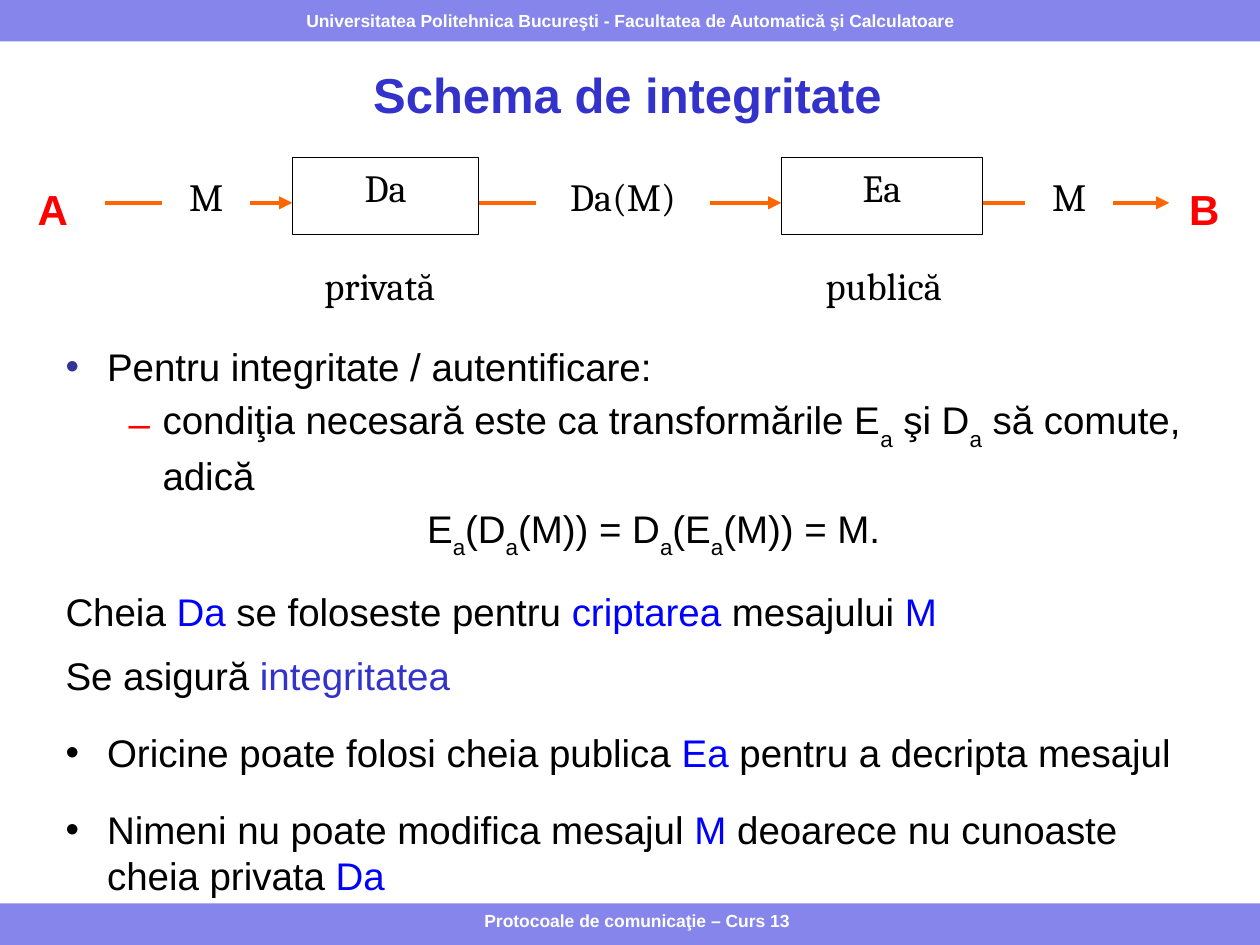
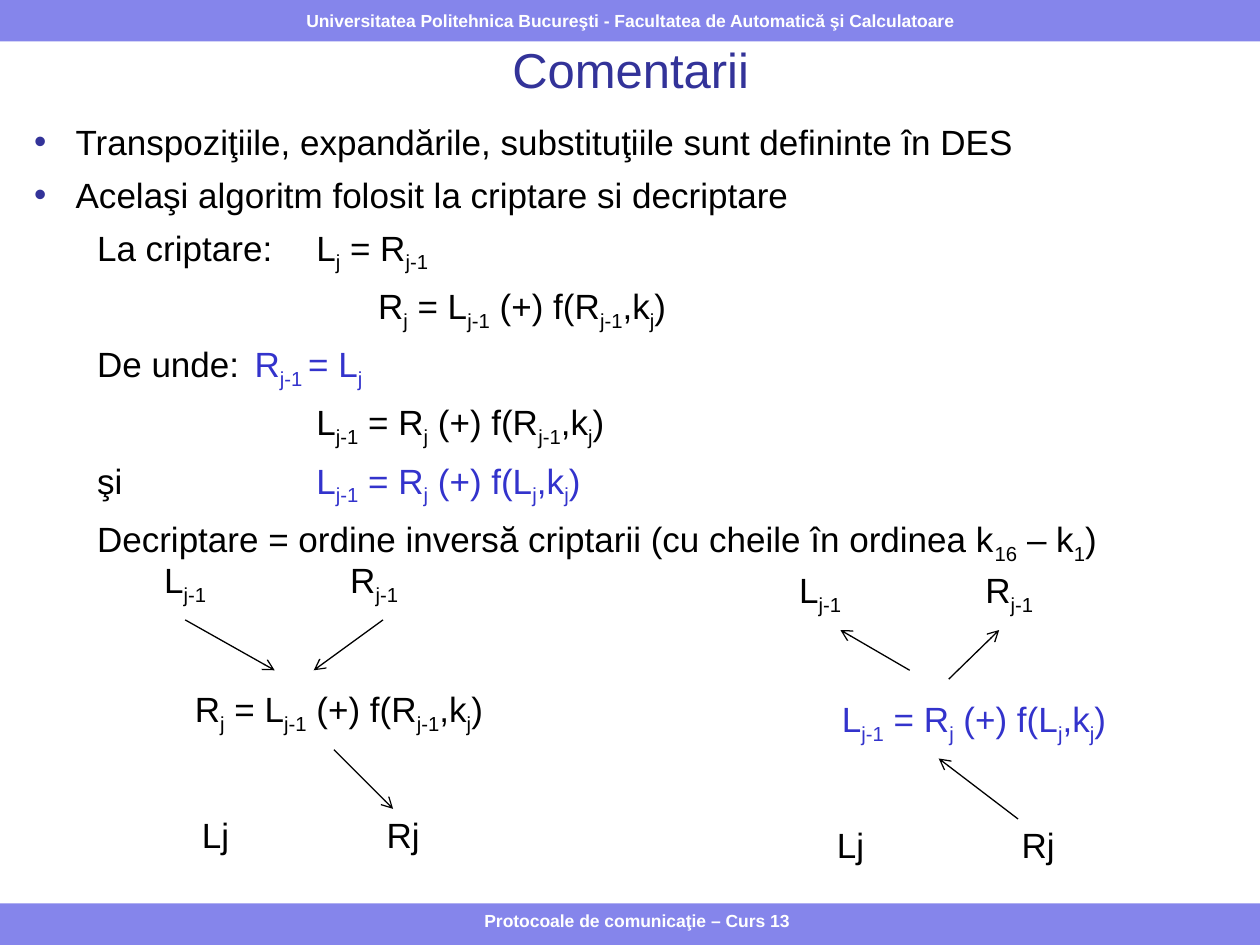
"""Builds two lecture slides: the integrity scheme and comments on DES."""
from lxml import etree
from pptx import Presentation
from pptx.dml.color import RGBColor
from pptx.enum.shapes import MSO_CONNECTOR as CONN, MSO_SHAPE as SHAPE
from pptx.enum.text import MSO_ANCHOR as ANCHOR, MSO_AUTO_SIZE as FIT, PP_ALIGN as ALIGN
from pptx.oxml.ns import qn
from pptx.util import Inches, Pt

BAND = RGBColor(0x85, 0x85, 0xEB)
INDIGO = RGBColor(0x33, 0x33, 0x99)
VIOLET = RGBColor(0x33, 0x33, 0xCC)
BLUE = RGBColor(0x00, 0x00, 0xFF)
RED = RGBColor(0xFF, 0x00, 0x00)
ORANGE = RGBColor(0xFF, 0x66, 0x00)
BLACK = RGBColor(0x00, 0x00, 0x00)
WHITE = RGBColor(0xFF, 0xFF, 0xFF)


def write(p, segments, size, font="Arial", bold=False, sub=-25000):
    """Add (text, colour) segments as runs; text between tildes is subscript."""
    for text, color in segments:
        for i, part in enumerate(text.split("~")):
            if not part:
                continue
            r = p.add_run()
            r.text = part
            r.font.size, r.font.name, r.font.bold = Pt(size), font, bold
            r.font.color.rgb = color
            if i % 2:
                r.font._element.set("baseline", str(sub))


def add_arrow(s, start, end, color, width, head):
    """Draw a straight arrow between two points given in inches."""
    line = s.shapes.add_connector(CONN.STRAIGHT, *map(Inches, start + end))
    line.line.color.rgb, line.line.width = color, Pt(width)
    etree.SubElement(line.line._get_or_add_ln(), qn("a:tailEnd"), type=head)
    etree.SubElement(line._element.spPr, qn("a:effectLst"))


prs = Presentation()
prs.slide_width, prs.slide_height = Inches(10), Inches(7.5)

TOP, SUB = (0.33, -0.33), (0.77, -0.27)
DOT, DOT_BLACK, DASH = ("•", INDIGO), ("•", BLACK), ("–", RED)
LEFT, CENTER = ALIGN.LEFT, ALIGN.CENTER

integrity_rows = [
    (0, TOP, 0, 4, DOT, LEFT, [("Pentru integritate / autentificare:", BLACK)]),
    (1, SUB, 0, 4, DASH, LEFT,
     [("condiţia necesară este ca transformările E~a~ şi D~a~ să comute, adică", BLACK)]),
    (1, SUB, 0, 4, None, CENTER, [("E~a~(D~a~(M)) = D~a~(E~a~(M)) = M. ", BLACK)]),
    (0, TOP, 12, 4, None, LEFT,
     [("Cheia ", BLACK), ("Da", BLUE), (" se foloseste pentru ", BLACK),
      ("criptarea ", BLUE), ("mesajului ", BLACK), ("M", BLUE)]),
    (0, TOP, 5.8, 12, None, LEFT, [("Se asigură ", BLACK), ("integritatea", VIOLET)]),
    (0, TOP, 5.8, 12, DOT_BLACK, LEFT,
     [("Oricine poate folosi cheia publica ", BLACK), ("Ea", BLUE),
      (" pentru a decripta mesajul", BLACK)]),
    (0, TOP, 5.8, 12, DOT_BLACK, LEFT,
     [("Nimeni nu poate modifica mesajul ", BLACK), ("M", BLUE),
      (" deoarece nu cunoaste cheia privata ", BLACK), ("Da", BLUE)]),
]

R_FORMULA = "R~j~ = L~j-1~ (+) f(R~j-1~,k~j~)"
L_FORMULA = "L~j-1~ = R~j~ (+) f(L~j~,k~j~)"
comment_rows = [
    (level, indent, 0, 6, DOT if level == 0 else None, LEFT, segments)
    for level, indent, segments in [
        (0, TOP, [("Transpoziţiile, expandările, substituţiile sunt defininte în DES", BLACK)]),
        (0, TOP, [("Acelaşi algoritm folosit la criptare si decriptare", BLACK)]),
        (1, (2.24, -1.74), [("La criptare: \tL~j~ = R~j-1~", BLACK)]),
        (1, (2.73, 0), [(R_FORMULA, BLACK)]),
        (1, (1.75, -1.25), [("De unde:\t", BLACK), ("R~j-1 ~= L~j~", VIOLET)]),
        (1, (2.24, 0), [("L~j-1~ = R~j~ (+) f(R~j-1~,k~j~)", BLACK)]),
        (1, (2.24, -1.74), [("şi\t", BLACK), (L_FORMULA, VIOLET)]),
        (1, SUB, [("Decriptare = ordine inversă criptarii (cu cheile în ordinea k~16~ – k~1~)",
                   BLACK)]),
    ]
]

pages = [
    ("Schema de integritate", VIOLET, True, (0.42, 0.45, 9.12, 0.59),
     (0.42, 2.67, 9.12, 4.42), 22, -33000, integrity_rows),
    ("Comentarii", INDIGO, False, (0.17, 0.17, 9.67, 0.75),
     (0.17, 0.91, 9.67, 3.42), 20, -25000, comment_rows),
]
for title, color, bold, title_at, body_at, size, sub, rows in pages:
    s = prs.slides.add_slide(prs.slide_layouts[1])

    for top in (7.17, 0):
        band = s.shapes.add_shape(SHAPE.RECTANGLE, 0, Inches(top), Inches(10), Inches(0.33))
        band.shadow.inherit = False
        band.fill.solid()
        band.fill.fore_color.rgb = BAND
        band.line.fill.background()
    band.text_frame.word_wrap = False
    band.text_frame.vertical_anchor = ANCHOR.MIDDLE
    footer = s.shapes.add_textbox(Inches(2.58), Inches(7.17), Inches(4.95), Inches(0.29))
    footer.text_frame.word_wrap = True
    for sp, text in [
        (band, "Universitatea Politehnica Bucureşti - Facultatea de Automatică şi Calculatoare"),
        (footer, "Protocoale de comunicaţie – Curs 13"),
    ]:
        p = sp.text_frame.paragraphs[0]
        p.alignment = CENTER
        write(p, [(text, WHITE)], 10, bold=True)

    body = s.placeholders[1]
    for sp, at in [(s.shapes.title, title_at), (body, body_at)]:
        sp.left, sp.top, sp.width, sp.height = map(Inches, at)
        sp.text_frame.auto_size = FIT.NONE
    s.shapes.title.text_frame.vertical_anchor = ANCHOR.MIDDLE
    p = s.shapes.title.text_frame.paragraphs[0]
    p.alignment = CENTER
    write(p, [(title, color)], 28, bold=bold)

    tf = body.text_frame
    for i, (level, indent, before, after, bullet, align, segments) in enumerate(rows):
        p = tf.add_paragraph() if i else tf.paragraphs[0]
        p.level, p.alignment, p.line_spacing = level, align, 1.0
        p.space_before, p.space_after = Pt(before), Pt(after)
        pPr = p._p.get_or_add_pPr()
        pPr.set("marL", str(Inches(indent[0])))
        pPr.set("indent", str(Inches(indent[1])))
        if bullet:
            clr = etree.SubElement(pPr, qn("a:buClr"))
            etree.SubElement(clr, qn("a:srgbClr"), val=str(bullet[1]))
            etree.SubElement(pPr, qn("a:buChar"), char=bullet[0])
        else:
            etree.SubElement(pPr, qn("a:buNone"))
        write(p, segments, size, sub=sub)

scheme, comments = prs.slides

for x1, x2 in [(0.83, 2.32), (3.8, 6.2), (7.8, 9.28)]:
    add_arrow(scheme, (x1, 1.61), (x2, 1.61), ORANGE, 2.5, "triangle")

for text, x, y, w, h, outline in [
    ("Da", 2.32, 1.25, 1.48, 0.61, BLACK),
    ("Ea", 6.2, 1.25, 1.6, 0.61, BLACK),
    ("M", 1.29, 1.37, 0.69, 0.36, WHITE),
    ("Da(M)", 4.26, 1.37, 1.37, 0.36, WHITE),
    ("M", 8.14, 1.37, 0.69, 0.36, WHITE),
    ("privată", 2.33, 2.08, 1.37, 0.36, WHITE),
    ("publică", 6.33, 2.08, 1.37, 0.36, WHITE),
]:
    sp = scheme.shapes.add_shape(SHAPE.RECTANGLE, *map(Inches, (x, y, w, h)))
    sp.shadow.inherit = False
    sp.fill.solid()
    sp.fill.fore_color.rgb = WHITE
    sp.line.color.rgb, sp.line.width = outline, Pt(0.75)
    tf = sp.text_frame
    tf.vertical_anchor = ANCHOR.TOP
    if outline == WHITE:
        tf.margin_left = tf.margin_top = tf.margin_right = tf.margin_bottom = 0
    tf.paragraphs[0].alignment = CENTER
    write(tf.paragraphs[0], [(text, BLACK)], 22, "Cambria")

for party, x in [("A", 0.2), ("B", 9.34)]:
    tb = scheme.shapes.add_textbox(Inches(x), Inches(1.41), Inches(0.5), Inches(0.5))
    tb.text_frame.word_wrap = True
    write(tb.text_frame.paragraphs[0], [(party, RED)], 24, bold=True)

for dx, dy, formula, color, arrows in [
    (0, 0, R_FORMULA, BLACK,
     [((1.47, 4.92), (2.18, 5.32)), ((3.04, 4.92), (2.49, 5.32)), ((2.65, 5.95), (3.12, 6.42))]),
    (5.04, 0.08, L_FORMULA, VIOLET,
     [((8.08, 6.5), (7.45, 6.02)), ((7.22, 5.32), (6.67, 5)), ((7.53, 5.39), (7.93, 5))]),
]:
    for text, x, y, w, ink in [
        ("L~j-1~", 0.76, 4.53, 1.42, BLACK),
        ("R~j-1~", 2.26, 4.53, 1.42, BLACK),
        (formula, 1.31, 5.55, 2.76, color),
        ("Lj", 1, 6.57, 1.42, BLACK),
        ("Rj", 2.49, 6.57, 1.42, BLACK),
    ]:
        tb = comments.shapes.add_textbox(*map(Inches, (x + dx, y + dy, w, 0.28)))
        tf = tb.text_frame
        tf.word_wrap, tf.auto_size = True, FIT.SHAPE_TO_FIT_TEXT
        p = tf.paragraphs[0]
        p.alignment, p.line_spacing = CENTER, 0.44
        write(p, [(text, ink)], 20)
    for start, end in arrows:
        add_arrow(comments, start, end, BLACK, 0.75, "arrow")

prs.save("out.pptx")
